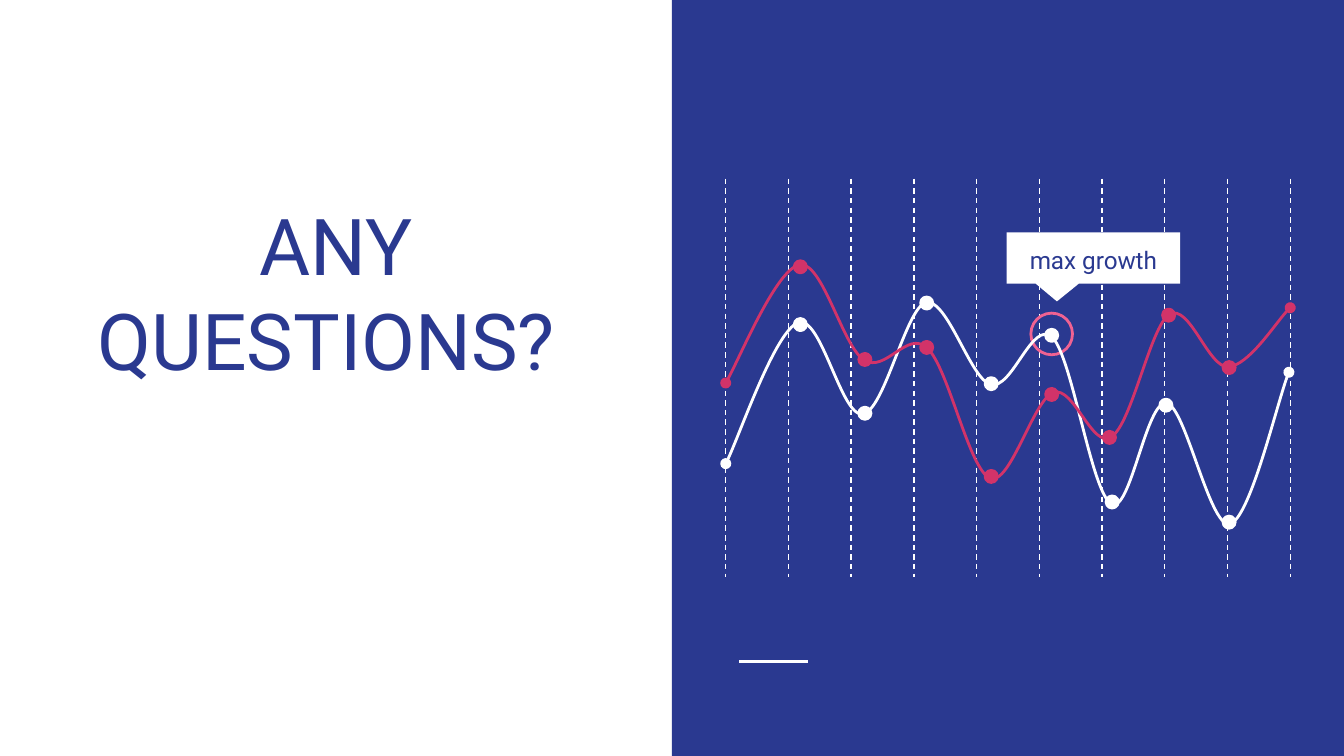
from lxml import etree
from pptx import Presentation
from pptx import util as u
from pptx.dml.color import RGBColor
from pptx.enum import dml, shapes, text
from pptx.oxml import ns

BLUE = RGBColor(0x2A, 0x39, 0x90)
WHITE = RGBColor(0xFF, 0xFF, 0xFF)
RED = RGBColor(0xD2, 0x33, 0x69)
PINK = RGBColor(0xF0, 0x62, 0x92)

WIDTH = 10
HEIGHT = WIDTH * 9 / 16

WHITE_CURVE = [
    (5.4, 3.45),
    (5.49, 3.28), (5.77, 2.46), (5.94, 2.4),
    (6.11, 2.34), (6.26, 3.11), (6.42, 3.08),
    (6.58, 3.06), (6.74, 2.29), (6.89, 2.25),
    (7.05, 2.22), (7.22, 2.82), (7.37, 2.86),
    (7.53, 2.91), (7.68, 2.37), (7.83, 2.51),
    (7.98, 2.66), (8.12, 3.67), (8.27, 3.75),
    (8.41, 3.83), (8.53, 2.97), (8.68, 3),
    (8.82, 3.02), (9, 3.93), (9.15, 3.9),
    (9.3, 3.86), (9.51, 2.96), (9.59, 2.77),
]
WHITE_DOTS = [(9.1, 3.84), (8.63, 2.97), (8.23, 3.69), (7.78, 2.45),
              (7.33, 2.81), (6.85, 2.21), (6.39, 3.03), (5.91, 2.37)]
RED_CURVE = [
    (5.4, 2.85),
    (5.49, 2.7), (5.78, 2), (5.95, 1.97),
    (6.12, 1.94), (6.27, 2.58), (6.43, 2.68),
    (6.59, 2.78), (6.75, 2.45), (6.9, 2.59),
    (7.06, 2.74), (7.21, 3.5), (7.37, 3.56),
    (7.52, 3.61), (7.69, 2.97), (7.84, 2.92),
    (7.99, 2.87), (8.13, 3.35), (8.27, 3.25),
    (8.42, 3.16), (8.56, 2.43), (8.7, 2.34),
    (8.85, 2.25), (8.99, 2.74), (9.14, 2.73),
    (9.29, 2.72), (9.52, 2.36), (9.6, 2.29),
]
RED_DOTS = [(5.91, 1.94), (6.39, 2.63), (6.85, 2.54), (7.33, 3.5),
            (7.78, 2.89), (8.21, 3.21), (8.65, 2.3), (9.1, 2.69)]


class Deck:
    """Holds the text style and current slide, and draws each kind of element."""

    font = "Roboto"
    ink = BLUE

    def __init__(self, width, height):
        self.prs = Presentation()
        self.prs.slide_width, self.prs.slide_height = u.Inches(width), u.Inches(height)
        self.s = self.prs.slides.add_slide(self.prs.slide_layouts[6])

    def group(self):
        return self.s.shapes.add_group_shape().shapes

    def paint(self, sp, fill, line):
        sp.shadow.inherit = False
        if fill is None:
            sp.fill.background()
        else:
            sp.fill.solid()
            sp.fill.fore_color.rgb = fill
        if line is None:
            sp.line.fill.background()
        else:
            sp.line.color.rgb = line
            sp.line.width = u.Pt(1.5)
        return sp

    def shape(self, kind, box, fill=None, line=None, parent=None):
        parent = parent or self.s.shapes
        sp = parent.add_shape(kind, *map(u.Inches, box))
        return self.paint(sp, fill, line)

    def line(self, x1, y1, x2, y2, width, dashed=False, parent=None):
        parent = parent or self.s.shapes
        cn = parent.add_connector(shapes.MSO_CONNECTOR.STRAIGHT, *map(u.Inches, (x1, y1, x2, y2)))
        cn.line.color.rgb = WHITE
        cn.line.width = u.Pt(width)
        if dashed:
            cn.line.dash_style = dml.MSO_LINE.DASH
        etree.SubElement(cn._element.spPr, ns.qn("a:effectLst"))

    def curve(self, points, color, parent):
        start, *rest = [(u.Inches(x), u.Inches(y)) for x, y in points]
        builder = parent.build_freeform(*start)
        builder.add_line_segments(rest, close=False)
        sp = self.paint(builder.convert_to_shape(), None, color)
        path = next(sp._element.iter(ns.qn("a:path")))
        steps = path.findall(ns.qn("a:lnTo"))
        for i in range(0, len(steps), 3):
            bezier = etree.SubElement(path, ns.qn("a:cubicBezTo"))
            for step in steps[i:i + 3]:
                bezier.append(step[0])
                path.remove(step)
        ln = sp.line._get_or_add_ln()
        for end in ("a:headEnd", "a:tailEnd"):
            etree.SubElement(ln, ns.qn(end), type="oval")

    def series(self, points, dots, color):
        group = self.group()
        self.curve(points, color, group)
        for x, y in dots:
            self.shape(shapes.MSO_SHAPE.OVAL, (x, y, 0.09, 0.09), color, color, group)

    def text(self, box, words, size, anchor, spacing=1.0):
        tf = self.s.shapes.add_textbox(*map(u.Inches, box)).text_frame
        tf.word_wrap = True
        tf.vertical_anchor = anchor
        tf.margin_left = tf.margin_right = tf.margin_top = tf.margin_bottom = u.Inches(0.1)
        p = tf.paragraphs[0]
        p.text = words
        p.alignment = text.PP_ALIGN.CENTER
        p.line_spacing = spacing
        p.font.name, p.font.size = self.font, u.Pt(size)
        p.font.color.rgb = self.ink


def main():
    deck = Deck(WIDTH, HEIGHT)
    deck.shape(shapes.MSO_SHAPE.RECTANGLE, (WIDTH / 2, 0, WIDTH / 2, HEIGHT), BLUE)
    deck.line(5.5, 4.92, 6.01, 4.92, 1.5)

    grid = deck.group()
    for i in range(10):
        x = 5.4 + i * 4.2 / 9
        deck.line(x, 1.33, x, 4.29, 0.75, dashed=True, parent=grid)

    deck.shape(shapes.MSO_SHAPE.OVAL, (7.67, 2.33, 0.31, 0.31), line=PINK)
    deck.text((0.29, 1.26, 4.42, 1.71), "ANY QUESTIONS? ", 42, text.MSO_ANCHOR.BOTTOM)

    deck.series(WHITE_CURVE, WHITE_DOTS, WHITE)
    callout = deck.shape(shapes.MSO_SHAPE.ROUNDED_RECTANGULAR_CALLOUT,
                         (7.49, 1.73, 1.29, 0.38), WHITE)
    for i, value in enumerate((-0.21, 0.85, 0)):
        callout.adjustments[i] = value
    deck.series(RED_CURVE, RED_DOTS, RED)
    deck.text((7.49, 1.76, 1.29, 0.31), "max growth", 13, text.MSO_ANCHOR.MIDDLE, 1.15)

    deck.prs.save("out.pptx")


if __name__ == "__main__":
    main()
